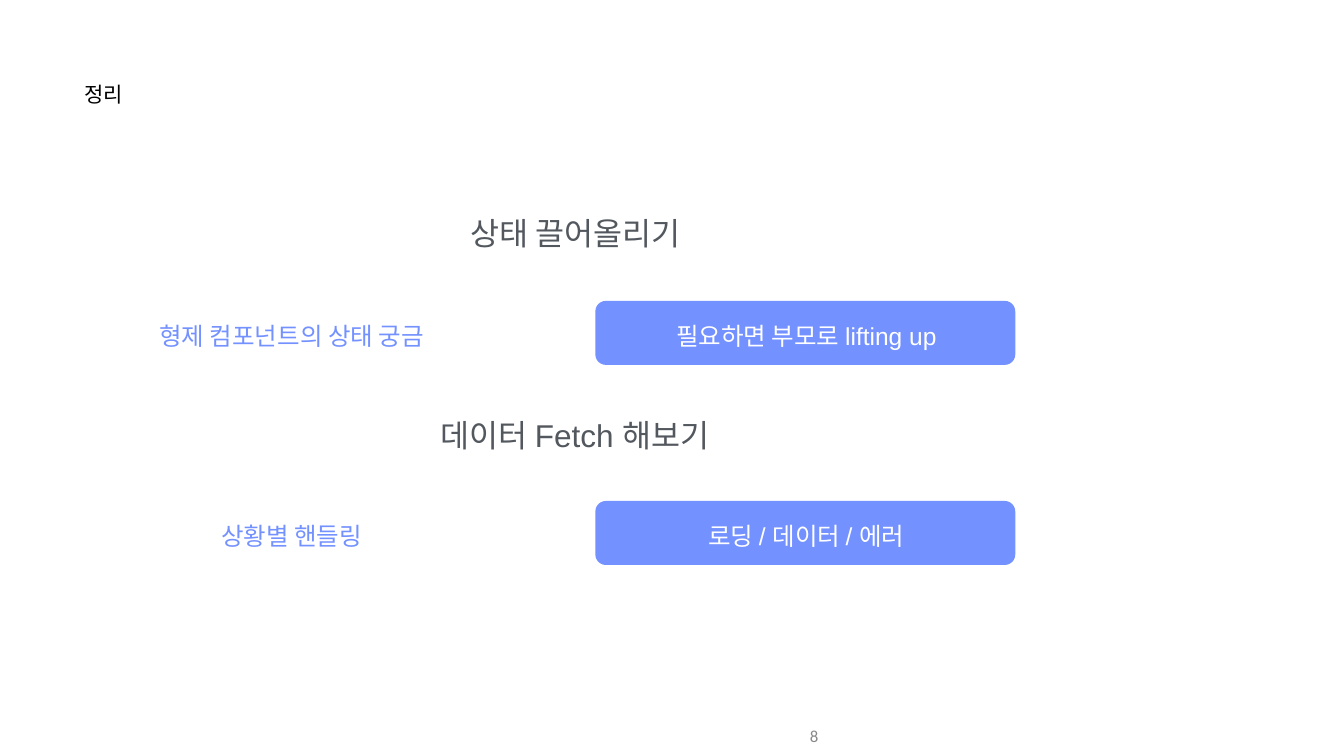
from pptx import Presentation
from pptx import util as u
from pptx.dml.color import RGBColor
from pptx.enum import shapes, text

BLUE, WHITE, SLATE, GREY, BLACK = "7391FF", "FFFFFF", "53585F", "888888", "000000"


def colour(value):
    return RGBColor.from_string(value)


class SlideBuilder:
    font = "Arial"
    inset = 0.01

    def __init__(self, page):
        self.page = page

    def label(self, words, left, top, width, height, size, fill,
              align=text.PP_ALIGN.CENTER, anchor=text.MSO_ANCHOR.MIDDLE,
              font=None, insets=None):
        box = self.page.shapes.add_textbox(*map(u.Inches, (left, top, width, height)))
        frame = box.text_frame
        frame.word_wrap = True
        frame.vertical_anchor = anchor
        side, edge = insets or (self.inset, self.inset)
        frame.margin_left = frame.margin_right = u.Inches(side)
        frame.margin_top = frame.margin_bottom = u.Inches(edge)
        para = frame.paragraphs[0]
        para.text = words
        para.alignment = align
        para.font.name = font or self.font
        para.font.size = u.Pt(size)
        para.font.color.rgb = colour(fill)

    def panel(self, left, top, width, height, fill):
        shape = self.page.shapes.add_shape(
            shapes.MSO_SHAPE.ROUNDED_RECTANGLE,
            *map(u.Inches, (left, top, width, height)))
        shape.adjustments[0] = 0.164
        shape.shadow.inherit = False
        shape.fill.solid()
        shape.fill.fore_color.rgb = colour(fill)
        shape.line.fill.background()

    def section(self, heading, topic, answer, heading_top, panel_top):
        """Draw a centred heading above a topic and its answer panel."""
        self.label(heading, 2.64, heading_top, 17.54, 0.79, 45, SLATE,
                   anchor=text.MSO_ANCHOR.TOP)
        self.panel(11.81, panel_top, 8.33, 1.27, BLUE)
        label_top = panel_top + 0.38
        self.label(topic, 2.66, label_top, 6.25, 0.62, 35, BLUE)
        self.label(answer, 11.83, label_top, 8.33, 0.62, 35, WHITE)


def main():
    deck = Presentation()
    deck.slide_width, deck.slide_height = u.Inches(26.66), u.Inches(15)
    builder = SlideBuilder(deck.slides.add_slide(deck.slide_layouts[6]))

    builder.label("정리", 1.67, 1.6, 4.86, 1.18, 30, BLACK,
                  align=text.PP_ALIGN.LEFT, anchor=text.MSO_ANCHOR.TOP)
    builder.section("상태 끌어올리기", "형제 컴포넌트의 상태 궁금",
                    "필요하면 부모로 lifting up", 4.24, 5.97)
    builder.section("데이터 Fetch 해보기", "상황별 핸들링",
                    "로딩 / 데이터 / 에러", 8.24, 9.94)
    builder.label("8", 10.33, 14.21, 6, 0.79, 24, GREY,
                  align=text.PP_ALIGN.RIGHT, font="Calibri", insets=(0.1, 0.05))
    deck.save("out.pptx")


if __name__ == "__main__":
    main()
